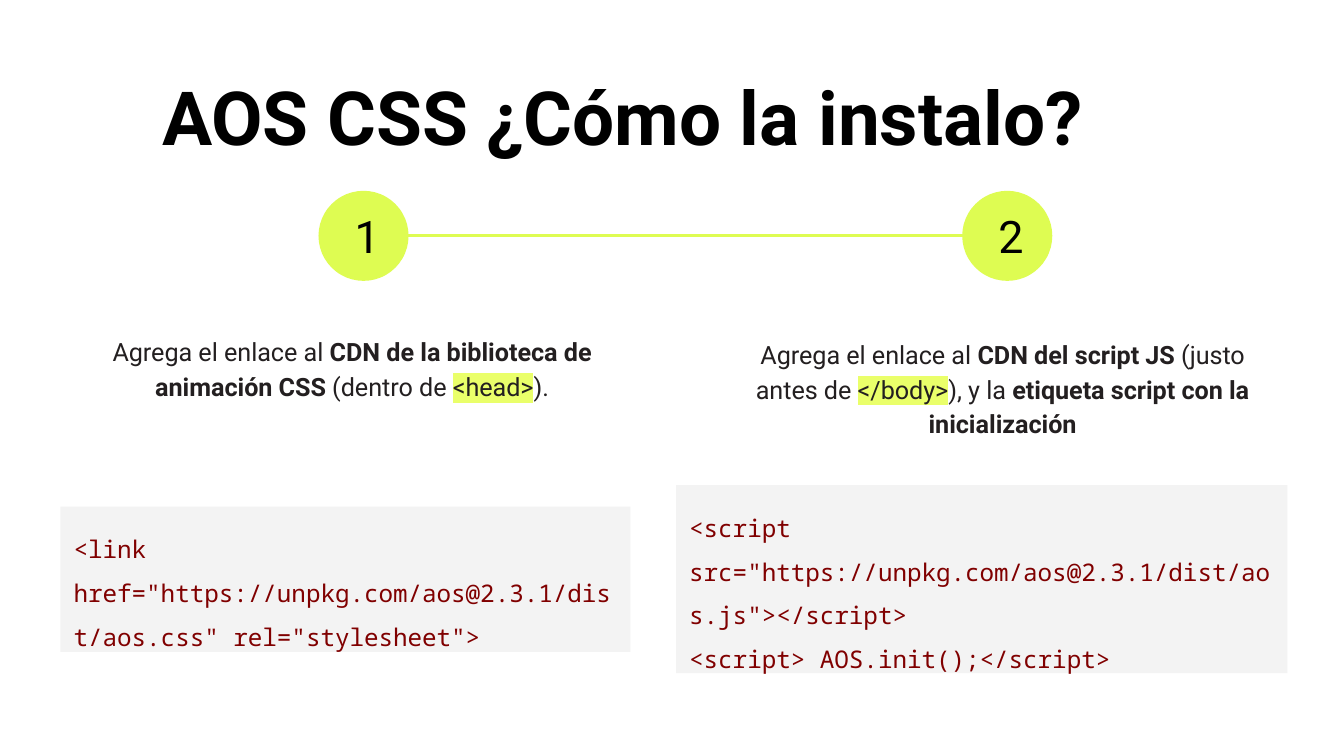
from dataclasses import dataclass

from lxml import etree
from pptx import Presentation, util as u
from pptx.dml.color import RGBColor
from pptx.enum import shapes, text
from pptx.oxml.ns import qn


@dataclass(frozen=True)
class Theme:
    """Colours, fonts and type sizes of the slide."""
    lime: str = "DEFC52"
    marker: str = "EAFF6A"
    panel: str = "F3F3F3"
    black: str = "000000"
    body: str = "231F20"
    code: str = "800000"
    sans: str = "Roboto"
    mono: str = "Noto Sans Mono"
    title_size: float = 40
    number_size: float = 24
    body_size: float = 13.5
    code_size: float = 13


THEME = Theme()


def rgb(value):
    """Turn a hex string into a colour."""
    return RGBColor.from_string(value)


def inches(*lengths):
    """Convert several lengths to Inches."""
    return [u.Inches(length) for length in lengths]


def highlight(run, color):
    """Mark a run with a background colour."""
    fill = run.font._element.find(qn("a:solidFill"))
    mark = etree.Element(qn("a:highlight"))
    etree.SubElement(mark, qn("a:srgbClr")).set("val", color)
    fill.addnext(mark)


def write(shape, paragraphs, *, size, color, font=THEME.sans, bold=False,
          align=text.PP_ALIGN.CENTER, spacing=1.0, inset_top=0.1):
    """Fill a shape with paragraphs, each a list of (words, style) pairs."""
    frame = shape.text_frame
    frame.word_wrap = True
    frame.vertical_anchor = text.MSO_ANCHOR.TOP
    frame.margin_left = frame.margin_right = frame.margin_bottom = u.Inches(0.1)
    frame.margin_top = u.Inches(inset_top)
    for index, pieces in enumerate(paragraphs):
        paragraph = frame.add_paragraph() if index else frame.paragraphs[0]
        paragraph.alignment = align
        paragraph.line_spacing = spacing
        for words, style in pieces:
            run = paragraph.add_run()
            run.text = words
            run.font.size = u.Pt(size)
            run.font.name = font
            run.font.bold = bold or style == "bold"
            run.font.color.rgb = rgb(color)
            if style == "marked":
                highlight(run, THEME.marker)


def add_label(slide, box, paragraphs, **style):
    """Add a text box."""
    write(slide.shapes.add_textbox(*inches(*box)), paragraphs, **style)


def add_filled(slide, kind, box, color):
    """Add a flat shape without outline."""
    shape = slide.shapes.add_shape(kind, *inches(*box))
    shape.shadow.inherit = False
    shape.fill.solid()
    shape.fill.fore_color.rgb = rgb(color)
    shape.line.fill.background()
    return shape


def add_track(slide, left, right, y):
    """Add the line that joins the steps."""
    track = slide.shapes.add_connector(
        shapes.MSO_CONNECTOR.STRAIGHT, *inches(left, y, right, y))
    track.line.color.rgb = rgb(THEME.lime)
    track.line.width = u.Pt(1.5)
    etree.SubElement(track._element.spPr, qn("a:effectLst"))


def add_step(slide, number, left):
    """Add a numbered circle."""
    add_filled(slide, shapes.MSO_SHAPE.OVAL, (left, 1.42, 0.67, 0.67), THEME.lime)
    add_label(slide, (left + 0.17, 1.45, 0.34, 0.6), [[(str(number), "")]],
              size=THEME.number_size, color=THEME.black)


def add_code(slide, box, lines):
    """Add a grey panel with lines of code."""
    panel = add_filled(slide, shapes.MSO_SHAPE.RECTANGLE, box, THEME.panel)
    write(panel, [[(line, "")] for line in lines], size=THEME.code_size,
          color=THEME.code, font=THEME.mono, align=text.PP_ALIGN.LEFT, spacing=1.5)


def add_instruction(slide, box, pieces, inset_top=0.1):
    """Add the explanation of a step."""
    add_label(slide, box, [pieces], size=THEME.body_size, color=THEME.body,
              spacing=1.15, inset_top=inset_top)


def main():
    """Build the slide and save it."""
    deck = Presentation()
    deck.slide_width = u.Inches(10)
    deck.slide_height = u.Inches(10 * 9 / 16)
    slide = deck.slides.add_slide(deck.slide_layouts[6])

    add_track(slide, 2.79, 7.8, 1.75)
    for number, left in enumerate((2.37, 7.16), start=1):
        add_step(slide, number, left)
    add_label(slide, (0.69, 0.43, 7.88, 0.75), [[("AOS CSS ¿Cómo la instalo?", "")]],
              size=THEME.title_size, color=THEME.black, bold=True)

    add_instruction(slide, (0.59, 2.43, 4.06, 0.85), [
        ("Agrega el enlace al ", ""),
        ("CDN de la biblioteca de animación CSS", "bold"),
        (" (dentro de ", ""), ("<head>", "marked"), (").", "")], inset_top=0.04)
    add_instruction(slide, (5.34, 2.39, 4.24, 0.85), [
        ("Agrega el enlace al ", ""), ("CDN del script JS", "bold"),
        (" (justo antes de ", ""), ("</body>", "marked"), ("), y la ", ""),
        ("etiqueta script con la inicialización", "bold")])

    add_code(slide, (0.45, 3.77, 4.24, 1.08), [
        '<link href="https://unpkg.com/aos@2.3.1/dist/aos.css" rel="stylesheet">'])
    add_code(slide, (5.03, 3.61, 4.55, 1.4), [
        '<script src="https://unpkg.com/aos@2.3.1/dist/aos.js"></script>',
        "<script> AOS.init();</script>"])

    deck.save("out.pptx")


if __name__ == "__main__":
    main()
